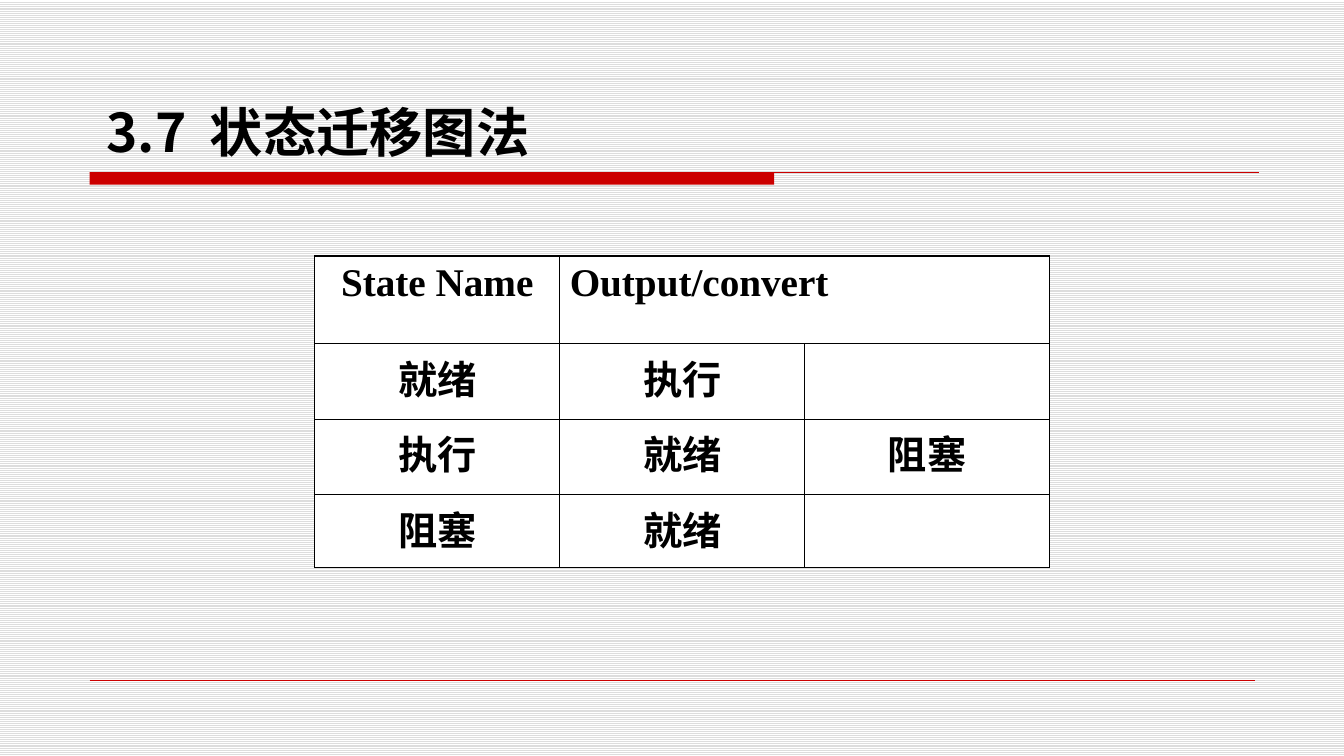
"""Build the state transition table slide."""
import pptx
import pptx.util
import pptx.dml.color
import pptx.enum.dml
import pptx.enum.shapes
import pptx.enum.text
import pptx.oxml
import pptx.oxml.ns

Pt = pptx.util.Pt
RGBColor = pptx.dml.color.RGBColor
ALIGN = pptx.enum.text.PP_ALIGN
BLACK = RGBColor(0, 0, 0)
WHITE = RGBColor(255, 255, 255)
GREY = RGBColor(0xDD, 0xDD, 0xDD)
RED = RGBColor(0xCC, 0, 0)
SANS = "Noto Sans CJK SC"
SERIF = "Times New Roman"
LEFT = 64
ROWS = [
    ["State Name", "Output/convert", ""],
    ["就绪", "执行", ""],
    ["执行", "就绪", "阻塞"],
    ["阻塞", "就绪", ""],
]
HEIGHTS = [62.6, 54, 54, 51.8]
WIDTH = 175


def add_run(para, text, size, face, gap=0):
    run = para.add_run()
    run.text = text
    font = run.font
    font.size, font.name, font.bold = Pt(size), face, True
    font.color.rgb = BLACK
    props = run._r.get_or_add_rPr()
    east = pptx.oxml.ns.qn("a:ea")
    props.append(props.makeelement(east, {"typeface": face}))
    if gap:
        props.set("spc", str(gap * 100))


def add_rule(slide, right, top, weight):
    kind = pptx.enum.shapes.MSO_CONNECTOR.STRAIGHT
    rule = slide.shapes.add_connector(
        kind, Pt(LEFT), Pt(top), Pt(right), Pt(top))
    rule.line.color.rgb = RED
    rule.line.width = Pt(weight)
    props = rule._element.spPr
    props.append(props.makeelement(pptx.oxml.ns.qn("a:effectLst"), {}))


def add_bar(slide, top, width, height):
    kind = pptx.enum.shapes.MSO_SHAPE.RECTANGLE
    bar = slide.shapes.add_shape(
        kind, Pt(LEFT), Pt(top), Pt(width), Pt(height))
    bar.shadow.inherit = False
    bar.fill.solid()
    bar.fill.fore_color.rgb = RED
    bar.line.fill.background()


def add_title(slide):
    box = slide.shapes.add_textbox(Pt(69), Pt(24), Pt(630), Pt(96))
    frame = box.text_frame
    frame.word_wrap = True
    frame.vertical_anchor = pptx.enum.text.MSO_ANCHOR.BOTTOM
    para = frame.paragraphs[0]
    for text, gap in [("3.7", 0), (" ", 8), ("状态迁移图法", 0)]:
        add_run(para, text, 38, SANS, gap)


def add_edges(cell):
    space = pptx.oxml.ns.nsdecls("a")
    props = cell._tc.get_or_add_tcPr()
    for spot, side in enumerate("LRTB"):
        props.insert(spot, pptx.oxml.parse_xml(
            f'<a:ln{side} {space} w="{Pt(1)}"><a:solidFill>'
            f'<a:srgbClr val="{BLACK}"/></a:solidFill></a:ln{side}>'))


def fill_cell(cell, text, face, align):
    cell.fill.solid()
    cell.fill.fore_color.rgb = WHITE
    add_edges(cell)
    if text:
        para = cell.text_frame.paragraphs[0]
        para.alignment = align
        add_run(para, text, 28, face)


def add_states(slide):
    count = len(ROWS[0])
    table = slide.shapes.add_table(
        len(ROWS), count, Pt(224.8), Pt(182.9),
        Pt(WIDTH * count), Pt(sum(HEIGHTS))).table
    table.first_row = table.horz_banding = False
    for col in table.columns:
        col.width = Pt(WIDTH)
    for r, (texts, height) in enumerate(zip(ROWS, HEIGHTS)):
        table.rows[r].height = Pt(height)
        for c, text in enumerate(texts):
            face = SANS if r else SERIF
            align = ALIGN.CENTER if r or c == 0 else ALIGN.LEFT
            fill_cell(table.cell(r, c), text, face, align)
    table.cell(0, 1).merge(table.cell(0, 2))


def main():
    deck = pptx.Presentation()
    deck.slide_width, deck.slide_height = Pt(960), Pt(540)
    slide = deck.slides.add_slide(deck.slide_layouts[6])
    back = slide.background.fill
    back.patterned()
    back.pattern = pptx.enum.dml.MSO_PATTERN.LIGHT_HORIZONTAL
    back.fore_color.rgb = GREY
    back.back_color.rgb = WHITE
    add_bar(slide, 123, 489, 9)
    add_rule(slide, 899.3, 123, 0.75)
    add_rule(slide, 896.4, 486, 0.25)
    add_states(slide)
    add_title(slide)
    deck.save("out.pptx")


main()
